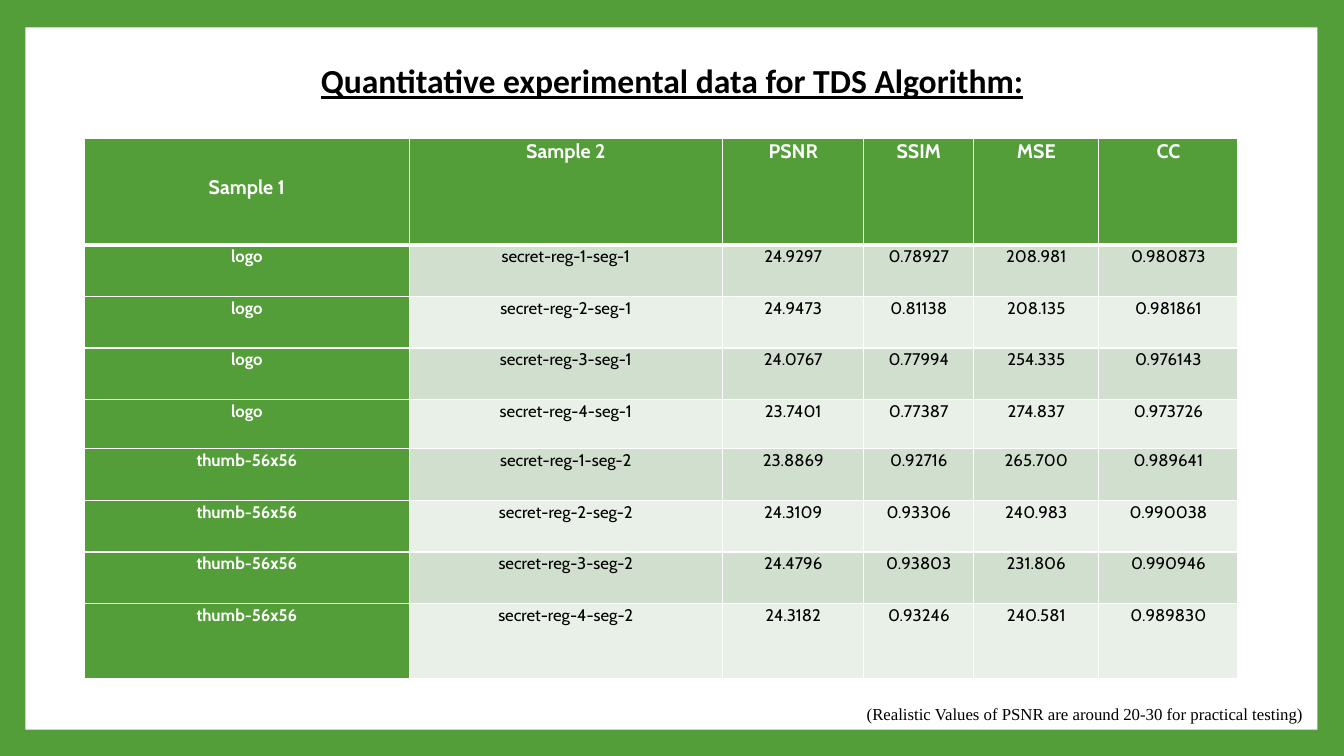
from typing import NamedTuple

import pptx
import pptx.dml.color
import pptx.enum.shapes
import pptx.enum.text
import pptx.oxml
import pptx.oxml.ns
import pptx.util

Cm = pptx.util.Cm
Pt = pptx.util.Pt
RGBColor = pptx.dml.color.RGBColor
Align = pptx.enum.text.PP_ALIGN

GREEN = RGBColor(0x54, 0x9E, 0x39)
DARK_BAND = RGBColor(0xD1, 0xDF, 0xCE)
LIGHT_BAND = RGBColor(0xE9, 0xF0, 0xE8)
WHITE = RGBColor(0xFF, 0xFF, 0xFF)
BLACK = RGBColor(0, 0, 0)


class Result(NamedTuple):
    sample_1: str
    sample_2: str
    psnr: str
    ssim: str
    mse: str
    cc: str


HEADER = Result("Sample 1", "Sample 2", "PSNR", "SSIM", "MSE", "CC")
RESULTS = [
    Result("logo", "secret-reg-1-seg-1", "24.9297", "0.78927", "208.981", "0.980873"),
    Result("logo", "secret-reg-2-seg-1", "24.9473", "0.81138", "208.135", "0.981861"),
    Result("logo", "secret-reg-3-seg-1", "24.0767", "0.77994", "254.335", "0.976143"),
    Result("logo", "secret-reg-4-seg-1", "23.7401", "0.77387", "274.837", "0.973726"),
    Result("thumb-56x56", "secret-reg-1-seg-2", "23.8869", "0.92716", "265.700", "0.989641"),
    Result("thumb-56x56", "secret-reg-2-seg-2", "24.3109", "0.93306", "240.983", "0.990038"),
    Result("thumb-56x56", "secret-reg-3-seg-2", "24.4796", "0.93803", "231.806", "0.990946"),
    Result("thumb-56x56", "secret-reg-4-seg-2", "24.3182", "0.93246", "240.581", "0.989830"),
]
COLUMN_WIDTHS = [8.18, 7.9, 3.56, 2.77, 3.15, 3.51]
ROW_HEIGHTS = [2.69, 1.3, 1.3, 1.3, 1.24, 1.3, 1.3, 1.3, 1.88]


def write_text(text_frame, text: str, *, font: str, size: float, color: RGBColor = BLACK,
               align: Align = Align.CENTER, bold: bool = False, underline: bool = False,
               line_spacing: float = 1.07, space_after: float = 8) -> None:
    text_frame.word_wrap = True
    paragraph = text_frame.paragraphs[0]
    paragraph.alignment = align
    paragraph.line_spacing = line_spacing
    paragraph.space_after = Pt(space_after)
    run = paragraph.add_run()
    run.text = text
    run.font.name = font
    run.font.size = Pt(size)
    run.font.color.rgb = color
    run.font.bold = bold
    run.font.underline = underline


def set_borders(cell, *, top: float, bottom: float) -> None:
    """Give the cell white borders; widths are in points."""
    properties = cell._tc.get_or_add_tcPr()
    widths = {"lnL": 1, "lnR": 1, "lnT": top, "lnB": bottom}
    for position, (side, width) in enumerate(widths.items()):
        border = pptx.oxml.parse_xml(
            f'<a:{side} {pptx.oxml.ns.nsdecls("a")} w="{Pt(width)}">'
            f'<a:solidFill><a:srgbClr val="{WHITE}"/></a:solidFill></a:{side}>')
        properties.insert(position, border)


def fill_cell(cell, text: str, row: int, column: int) -> None:
    is_header = row == 0
    is_green = is_header or column == 0
    cell.margin_left = cell.margin_right = Cm(0.18)
    cell.margin_top = cell.margin_bottom = 0
    cell.fill.solid()
    cell.fill.fore_color.rgb = GREEN if is_green else DARK_BAND if row % 2 else LIGHT_BAND
    set_borders(cell, top=3 if row == 1 else 1, bottom=3 if is_header else 1)
    write_text(cell.text_frame, text, font="Cabin", size=14 if is_header else 12,
               color=WHITE if is_green else BLACK, bold=is_green)


def add_results_table(slide) -> None:
    rows = [HEADER, *RESULTS]
    table = slide.shapes.add_table(
        len(rows), len(COLUMN_WIDTHS), Cm(2.13), Cm(3.48),
        Cm(sum(COLUMN_WIDTHS)), Cm(sum(ROW_HEIGHTS))).table
    for table_column, width in zip(table.columns, COLUMN_WIDTHS):
        table_column.width = Cm(width)
    for table_row, height in zip(table.rows, ROW_HEIGHTS):
        table_row.height = Cm(height)
    for row, result in enumerate(rows):
        for column, text in enumerate(result):
            fill_cell(table.cell(row, column), text, row, column)
    table.cell(0, 0).margin_top = Cm(0.91)


def add_panel(slide) -> None:
    panel = slide.shapes.add_shape(pptx.enum.shapes.MSO_SHAPE.RECTANGLE,
                                   Cm(0.64), Cm(0.69), Cm(32.56), Cm(17.7))
    panel.shadow.inherit = False
    panel.fill.solid()
    panel.fill.fore_color.rgb = WHITE
    panel.line.fill.background()


def main() -> None:
    presentation = pptx.Presentation()
    presentation.slide_width = Cm(33.87)
    presentation.slide_height = Cm(19.05)
    slide = presentation.slides.add_slide(presentation.slide_layouts[6])
    slide.background.fill.solid()
    slide.background.fill.fore_color.rgb = GREEN

    add_panel(slide)
    title = slide.shapes.add_textbox(Cm(5.66), Cm(1.32), Cm(22.56), Cm(1.3))
    write_text(title.text_frame, "Quantitative experimental data for TDS Algorithm:",
               font="Calibri", size=24, bold=True, underline=True)
    add_results_table(slide)
    note = slide.shapes.add_textbox(Cm(16.18), Cm(17.6), Cm(16.92), Cm(0.76))
    write_text(note.text_frame,
               "(Realistic Values of PSNR are around 20-30 for practical testing)",
               font="Times New Roman", size=12, align=Align.RIGHT,
               line_spacing=1.0, space_after=0)
    presentation.save("out.pptx")


if __name__ == "__main__":
    main()
